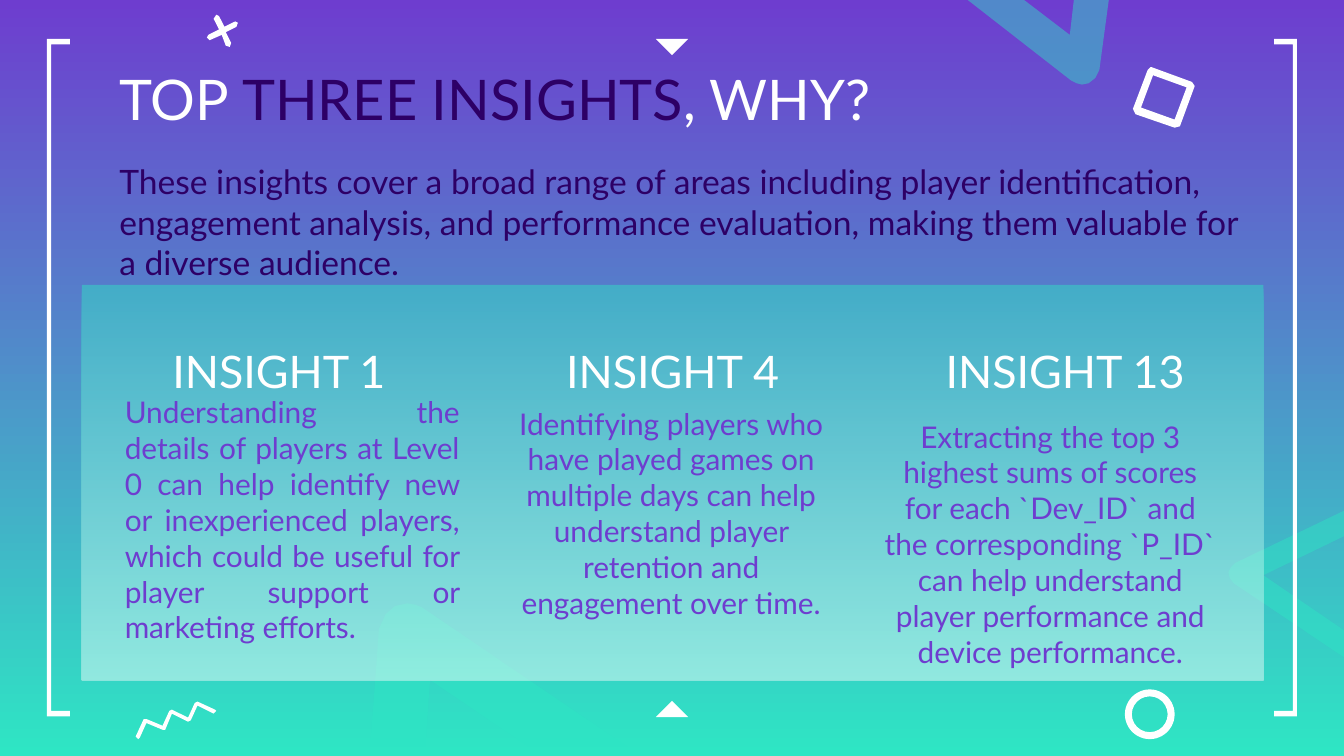
from lxml.etree import SubElement
from pptx import Presentation
from pptx.dml.color import RGBColor
from pptx.enum.shapes import MSO_SHAPE as Shape
from pptx.enum.text import MSO_ANCHOR as Anchor, MSO_AUTO_SIZE as AutoSize, PP_ALIGN as Align
from pptx.oxml.ns import qn
from pptx.util import Inches, Pt

VIOLET = RGBColor(0x6E, 0x3D, 0xCF)
TEAL = RGBColor(0x2E, 0xE6, 0xC4)
INDIGO = RGBColor(0x2D, 0x00, 0x66)
WHITE = RGBColor(0xFF, 0xFF, 0xFF)
FONT = "Lato"
WIDTH = 10
HEIGHT = WIDTH * 9 / 16

BOTTOM_WEDGE = [(0, 1.13), (0.07, 0.19), (0.12, 0.08), (0.19, 0.02), (0.28, 0), (0.34, 0.01),
                (0.39, 0.03), (2.01, 1.13), (1.28, 1.13), (0.45, 0.57), (0.41, 1.13)]
TOP_WEDGE = [(0, 0), (0.77, 0.6), (0.81, 0.62), (0.85, 0.63), (0.9, 0.62), (0.95, 0.58),
             (0.98, 0.52), (1.05, 0), (0.79, 0), (0.76, 0.26), (0.42, 0)]
RIGHT_WEDGE = [(0.86, 1.09), (0.86, 0.89), (0.26, 0.48), (0.86, 0.19), (0.86, 0),
               (0.05, 0.39), (0.02, 0.42), (0, 0.46), (0.01, 0.5), (0.04, 0.54)]
SQUARE_OUTER = [(0.13, 0), (0.11, 0.02), (0, 0.31), (0.02, 0.35), (0.31, 0.45),
                (0.35, 0.44), (0.46, 0.14), (0.44, 0.11), (0.14, 0)]
SQUARE_INNER = [(0.15, 0.06), (0.4, 0.15), (0.31, 0.39), (0.06, 0.3)]
CROSS = [(0.08, 0), (0.06, 0.03), (0.1, 0.11), (0.02, 0.15), (0.01, 0.17), (0.03, 0.19),
         (0.12, 0.15), (0.15, 0.23), (0.18, 0.24), (0.19, 0.21), (0.15, 0.13), (0.23, 0.09),
         (0.24, 0.06), (0.22, 0.05), (0.14, 0.09), (0.1, 0.01)]
ZIGZAG = [(0.06, 0.13), (0, 0.26), (0.02, 0.28), (0.03, 0.27), (0.08, 0.16), (0.2, 0.21),
          (0.22, 0.21), (0.27, 0.09), (0.39, 0.15), (0.41, 0.14), (0.46, 0.03), (0.58, 0.09),
          (0.6, 0.07), (0.59, 0.06), (0.46, 0), (0.44, 0.01), (0.39, 0.12), (0.27, 0.06),
          (0.25, 0.07), (0.2, 0.18), (0.08, 0.13)]
BRACKET = [(0, 0), (0, 5.04), (0.17, 5.04), (0.17, 5), (0.03, 5), (0.03, 0.04),
           (0.17, 0.04), (0.17, 0)]
POINTER = [(0, 0), (0.12, 0.12), (0.24, 0)]

INSIGHTS = [
    ("INSIGHT 1", 0.84, (0.83, 3.39, 2.69, 0.85), Align.JUSTIFY, 0,
     "Understanding the details of players at Level 0 can help identify new or inexperienced "
     "players, which could be useful for player support or marketing efforts."),
    ("INSIGHT 4", 3.77, (3.76, 3.57, 2.47, 0.85), Align.CENTER, 0.46,
     "Identifying players who have played games on multiple days can help understand player "
     "retention and engagement over time."),
    ("INSIGHT 13", 6.69, (6.47, 3.57, 2.69, 0.85), Align.CENTER, 0,
     "Extracting the top 3 highest sums of scores for each `Dev_ID` and the corresponding "
     "`P_ID` can help understand player performance and device performance."),
]


def finish(shape, color):
    """Give a shape a plain fill without line or shadow."""
    shape.shadow.inherit = False
    shape.fill.solid()
    shape.fill.fore_color.rgb = color
    shape.line.fill.background()


def fade(shape):
    """Make the fill colours of a shape 45 percent opaque."""
    for color in shape.element.spPr.iter(qn("a:srgbClr")):
        SubElement(color, qn("a:alpha"), val="45000")


def shade(fill, top, bottom):
    """Run a vertical gradient from one colour to another."""
    fill.gradient()
    fill.gradient_angle = 270
    for stop, color in zip(fill.gradient_stops, (top, bottom)):
        stop.color.rgb = color


def add_outline(page, left, top, *contours, color=WHITE, flip_x=1, flip_y=1):
    """Draw closed contours measured from one corner, mirrored on request."""
    paths = [[(Inches(left + flip_x * x), Inches(top + flip_y * y)) for x, y in contour]
             for contour in contours]
    builder = page.shapes.build_freeform(*paths[0][0])
    builder.add_line_segments(paths[0][1:])
    for path in paths[1:]:
        builder.move_to(*path[0])
        builder.add_line_segments(path[1:])
    shape = builder.convert_to_shape()
    finish(shape, color)
    return shape


def add_decoration(page, width, height):
    """Draw the wedges, brackets, pointers and small marks around the page."""
    wedges = [(2.75, 4.49, BOTTOM_WEDGE), (7.2, 0, TOP_WEDGE), (9.14, 3.8, RIGHT_WEDGE)]
    for left, top, points in wedges:
        fade(add_outline(page, left, top, points, color=TEAL))
    add_outline(page, 4.88, 0.29, POINTER)
    add_outline(page, 4.88, height - 0.29, POINTER, flip_y=-1)
    add_outline(page, 0.35, 0.29, BRACKET)
    add_outline(page, width - 0.35, 0.29, BRACKET, flip_x=-1)
    add_outline(page, 8.43, 0.5, SQUARE_OUTER, SQUARE_INNER)
    add_outline(page, 1.53, 0.11, CROSS)
    add_outline(page, 1.01, 5.22, ZIGZAG)
    ring = page.shapes.add_shape(Shape.DONUT, *map(Inches, (8.37, 5.13, 0.37, 0.37)))
    ring.adjustments[0] = 0.14
    finish(ring, WHITE)


def add_text(page, box, text, size, color, align=Align.LEFT, anchor=Anchor.TOP,
             inset=0.1, bottom=0.1):
    """Write one paragraph in a wrapped text box."""
    frame = page.shapes.add_textbox(*map(Inches, box)).text_frame
    frame.word_wrap = True
    frame.vertical_anchor = anchor
    frame.margin_top, frame.margin_bottom = Inches(inset), Inches(bottom)
    para = frame.paragraphs[0]
    para.text, para.alignment = text, align
    para.font.name, para.font.size, para.font.color.rgb = FONT, Pt(size), color


def add_title(page, box):
    """Fill the title placeholder with its two-coloured heading."""
    title = page.shapes.title
    title.left, title.top, title.width, title.height = map(Inches, box)
    frame = title.text_frame
    frame.auto_size, frame.vertical_anchor = AutoSize.NONE, Anchor.TOP
    frame.margin_top = frame.margin_bottom = Inches(0.1)
    para = frame.paragraphs[0]
    para.alignment = Align.LEFT
    para.font.name, para.font.size = FONT, Pt(30)
    for text, color in (("TOP ", WHITE), ("THREE INSIGHTS", INDIGO), (", WHY?", WHITE)):
        span = para.add_run()
        span.text, span.font.color.rgb = text, color


def add_insights(page, box):
    """Draw the panel with its three insight columns."""
    panel = page.shapes.add_shape(Shape.ROUNDED_RECTANGLE, *map(Inches, box))
    panel.adjustments[0] = 0
    finish(panel, TEAL)
    shade(panel.fill, TEAL, WHITE)
    fade(panel)
    heading_top = box[1] + 0.09
    for heading, left, body_box, align, bottom, body in INSIGHTS:
        add_text(page, (left, heading_top, 2.47, 0.85), heading, 24, WHITE,
                 Align.CENTER, Anchor.BOTTOM)
        add_text(page, body_box, body, 16, VIOLET, align, Anchor.MIDDLE, bottom=bottom)


def main():
    """Build the slide and save it."""
    deck = Presentation()
    deck.slide_width, deck.slide_height = Inches(WIDTH), Inches(HEIGHT)
    page = deck.slides.add_slide(deck.slide_layouts[5])
    shade(page.background.fill, VIOLET, TEAL)
    add_decoration(page, WIDTH, HEIGHT)
    add_insights(page, (0.61, 2.12, 8.79, 2.94))
    add_title(page, (0.79, 0.38, 7.95, 0.91))
    add_text(page, (0.79, 1.15, 8.56, 0.71),
             "These insights cover a broad range of areas including player identification, "
             "engagement analysis, and performance evaluation, making them valuable for a "
             "diverse audience.", 18, INDIGO, inset=0.05, bottom=0.05)
    deck.save("out.pptx")


if __name__ == "__main__":
    main()
